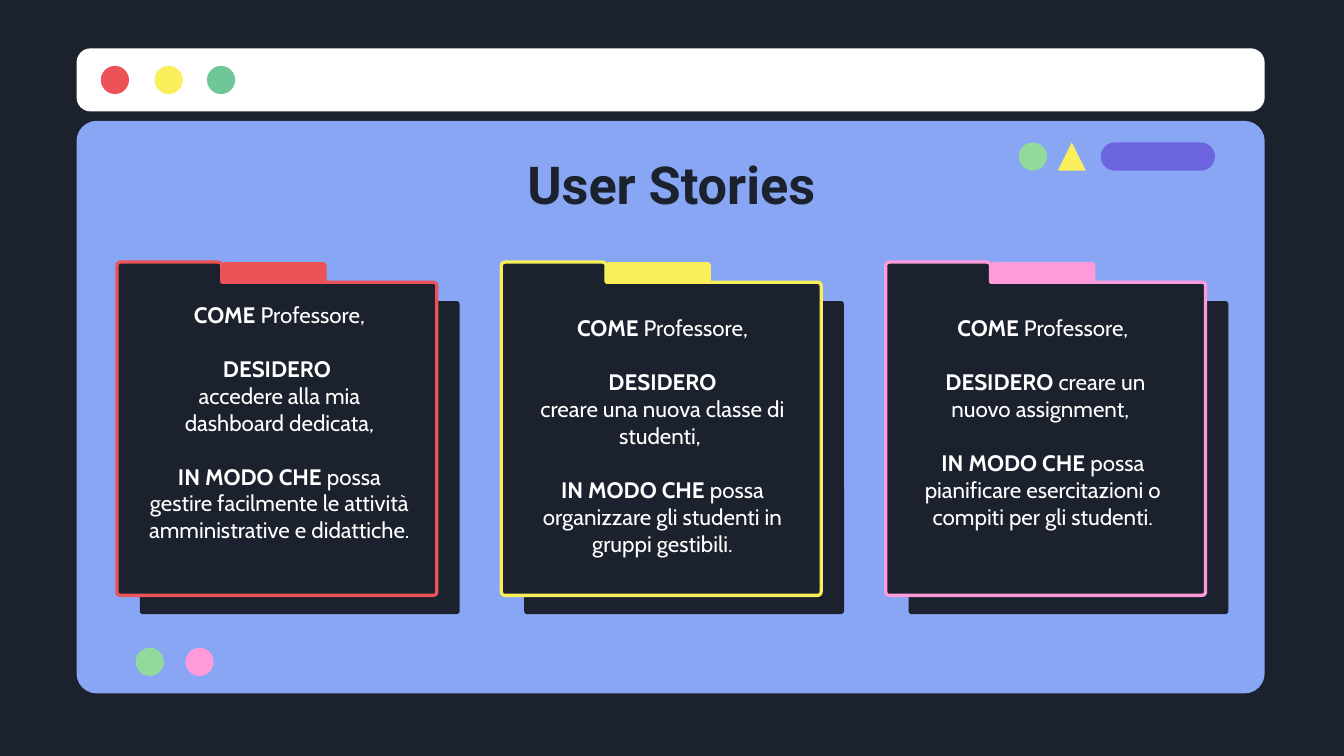
"""Build the "User Stories" slide: a browser window holding three folder cards."""
from dataclasses import dataclass
from typing import NamedTuple

from pptx import Presentation
from pptx.dml.color import RGBColor
from pptx.enum.shapes import MSO_SHAPE
from pptx.enum.text import MSO_ANCHOR, MSO_AUTO_SIZE, PP_ALIGN
from pptx.util import Inches, Pt

ROUND, OVAL = MSO_SHAPE.ROUNDED_RECTANGLE, MSO_SHAPE.OVAL
TRIANGLE = MSO_SHAPE.ISOSCELES_TRIANGLE
CENTER, TOP, MIDDLE = PP_ALIGN.CENTER, MSO_ANCHOR.TOP, MSO_ANCHOR.MIDDLE
NO_AUTOFIT = MSO_AUTO_SIZE.NONE


@dataclass(frozen=True)
class Theme:
    dark: str = "1B222D"
    white: str = "FFFFFF"
    window: str = "88A6F3"
    red: str = "EB5358"
    yellow: str = "F8EF5B"
    green: str = "6DC797"
    mint: str = "92D99C"
    pink: str = "FF9BDA"
    purple: str = "6D65E0"
    title_font: str = "Roboto"
    body_font: str = "Cabin"
    title_size: float = 28
    body_size: float = 12
    clause_gap: float = 14.5
    outline: float = 1.75


class Box(NamedTuple):
    left: float
    top: float
    width: float
    height: float


class Item(NamedTuple):
    kind: int
    box: Box
    color: str
    adj: float | None = None


class Line(NamedTuple):
    lead: str
    rest: str


class Card(NamedTuple):
    left: float
    color: str
    text_box: Box
    lines: tuple[Line, ...]


class Corner(NamedTuple):
    x: float
    y: float
    radius: float


THEME = Theme()
DOT = 0.21
CARD_TOP = 1.95
CORNER = 0.03
FRONT = (Corner(0, 0, CORNER), Corner(0.78, 0, CORNER), Corner(0.78, 0.15, 0),
         Corner(2.38, 0.15, CORNER), Corner(2.38, 2.48, CORNER), Corner(0, 2.48, CORNER))


def dot(left: float, top: float, color: str, kind: int = OVAL) -> Item:
    """Describe a small decoration of the common dot size."""
    return Item(kind, Box(left, top, DOT, DOT), color)


ITEMS = (
    Item(ROUND, Box(0.57, 0.9, 8.84, 4.26), THEME.window, 0.035),
    Item(ROUND, Box(0.57, 0.36, 8.84, 0.47), THEME.white, 0.223),
    dot(0.75, 0.49, THEME.red),
    dot(1.15, 0.49, THEME.yellow),
    dot(1.54, 0.49, THEME.green),
    dot(7.58, 1.06, THEME.mint),
    dot(7.87, 1.06, THEME.yellow, TRIANGLE),
    Item(ROUND, Box(8.19, 1.06, 0.85, DOT), THEME.purple, 0.5),
    dot(1.38, 4.82, THEME.pink),
    dot(1.01, 4.82, THEME.mint),
)

CARDS = (
    Card(0.87, THEME.red, Box(1.01, 2.14, 2.14, 2.24), (
        Line("COME", " Professore,"),
        Line("DESIDERO ", ""),
        Line("", "accedere alla mia dashboard dedicata,"),
        Line("IN MODO CHE", " possa gestire facilmente le attività amministrative e didattiche."),
    )),
    Card(3.73, THEME.yellow, Box(3.86, 2.24, 2.14, 2.02), (
        Line("COME ", "Professore,"),
        Line(" DESIDERO ", ""),
        Line("", "creare una nuova classe di studenti, "),
        Line("IN MODO CHE", " possa organizzare gli studenti in gruppi gestibili."),
    )),
    Card(6.59, THEME.pink, Box(6.69, 2.24, 2.14, 2.02), (
        Line("COME", " Professore,"),
        Line(" DESIDERO", " creare un nuovo assignment, "),
        Line("IN MODO CHE", " possa pianificare esercitazioni o compiti per gli studenti."),
    )),
)


def rgb(color: str) -> RGBColor:
    """Turn a hex string into a colour."""
    return RGBColor.from_string(color)


def paint(sp, color: str) -> None:
    """Give a shape a flat fill without line or shadow."""
    sp.shadow.inherit = False
    sp.fill.solid()
    sp.fill.fore_color.rgb = rgb(color)
    sp.line.fill.background()


def draw_item(s, item: Item) -> None:
    """Draw one preset shape."""
    sp = s.shapes.add_shape(item.kind, *map(Inches, item.box))
    if item.adj is not None:
        sp.adjustments[0] = item.adj
    paint(sp, item.color)


def rounded(corners: tuple[Corner, ...], steps: int = 4) -> list[tuple[float, float]]:
    """Return outline points with each corner replaced by a quadratic curve."""
    points = []
    for i, c in enumerate(corners):
        if not c.radius:
            points.append((c.x, c.y))
            continue
        ends = []
        for n in (corners[i - 1], corners[(i + 1) % len(corners)]):
            ratio = c.radius / (abs(n.x - c.x) + abs(n.y - c.y))
            ends.append((c.x + (n.x - c.x) * ratio, c.y + (n.y - c.y) * ratio))
        (ax, ay), (bx, by) = ends
        for k in range(steps + 1):
            t = k / steps
            u = 1 - t
            points.append((u * u * ax + 2 * u * t * c.x + t * t * bx,
                           u * u * ay + 2 * u * t * c.y + t * t * by))
    return points


def format_run(r, font: str, size: float, color: str, bold: bool) -> None:
    """Set the look of a run."""
    r.font.name, r.font.size, r.font.bold = font, Pt(size), bold
    r.font.color.rgb = rgb(color)


def set_frame(tf, anchor: int) -> None:
    """Set wrapping, anchor and even insets."""
    tf.word_wrap, tf.auto_size, tf.vertical_anchor = True, NO_AUTOFIT, anchor
    tf.margin_left = tf.margin_right = tf.margin_top = tf.margin_bottom = Inches(0.1)


def draw_folder(s, card: Card) -> None:
    """Draw the back sheet, coloured tab and outlined front of a folder."""
    draw_item(s, Item(ROUND, Box(card.left + 0.17, CARD_TOP + 0.29, 2.38, 2.33), THEME.dark, 0.01))
    draw_item(s, Item(ROUND, Box(card.left + 0.78, CARD_TOP, 0.78, 0.29), card.color, 0.09))
    points = [(Inches(card.left + x), Inches(CARD_TOP + y)) for x, y in rounded(FRONT)]
    fb = s.shapes.build_freeform(*points[0])
    fb.add_line_segments(points[1:], close=True)
    sp = fb.convert_to_shape()
    paint(sp, THEME.dark)
    sp.line.color.rgb = rgb(card.color)
    sp.line.width = Pt(THEME.outline)


def write_story(s, card: Card) -> None:
    """Write a user story, leaving a gap above each clause after the first."""
    tf = s.shapes.add_textbox(*map(Inches, card.text_box)).text_frame
    set_frame(tf, TOP)
    for i, line in enumerate(card.lines):
        p = tf.add_paragraph() if i else tf.paragraphs[0]
        p.alignment = CENTER
        if i and line.lead:
            p.space_before = Pt(THEME.clause_gap)
        for text, bold in ((line.lead, True), (line.rest, False)):
            if text:
                r = p.add_run()
                r.text = text
                format_run(r, THEME.body_font, THEME.body_size, THEME.white, bold)


def write_title(s, text: str, box: Box) -> None:
    """Place the title placeholder in front of the window."""
    sp = s.shapes.title
    sp.left, sp.top, sp.width, sp.height = map(Inches, box)
    sp.text_frame.text = text
    set_frame(sp.text_frame, MIDDLE)
    p = sp.text_frame.paragraphs[0]
    p.alignment = CENTER
    format_run(p.runs[0], THEME.title_font, THEME.title_size, THEME.dark, True)
    sp._element.getparent().append(sp._element)


def main() -> None:
    """Build and save the slide."""
    prs = Presentation()
    prs.slide_width, prs.slide_height = Inches(10), Inches(10 * 9 / 16)
    s = prs.slides.add_slide(prs.slide_layouts[5])
    s.background.fill.solid()
    s.background.fill.fore_color.rgb = rgb(THEME.dark)
    for item in ITEMS:
        draw_item(s, item)
    write_title(s, "User Stories", Box(0.78, 1.06, 8.43, 0.62))
    for card in CARDS:
        draw_folder(s, card)
        write_story(s, card)
    prs.save("out.pptx")


if __name__ == "__main__":
    main()
